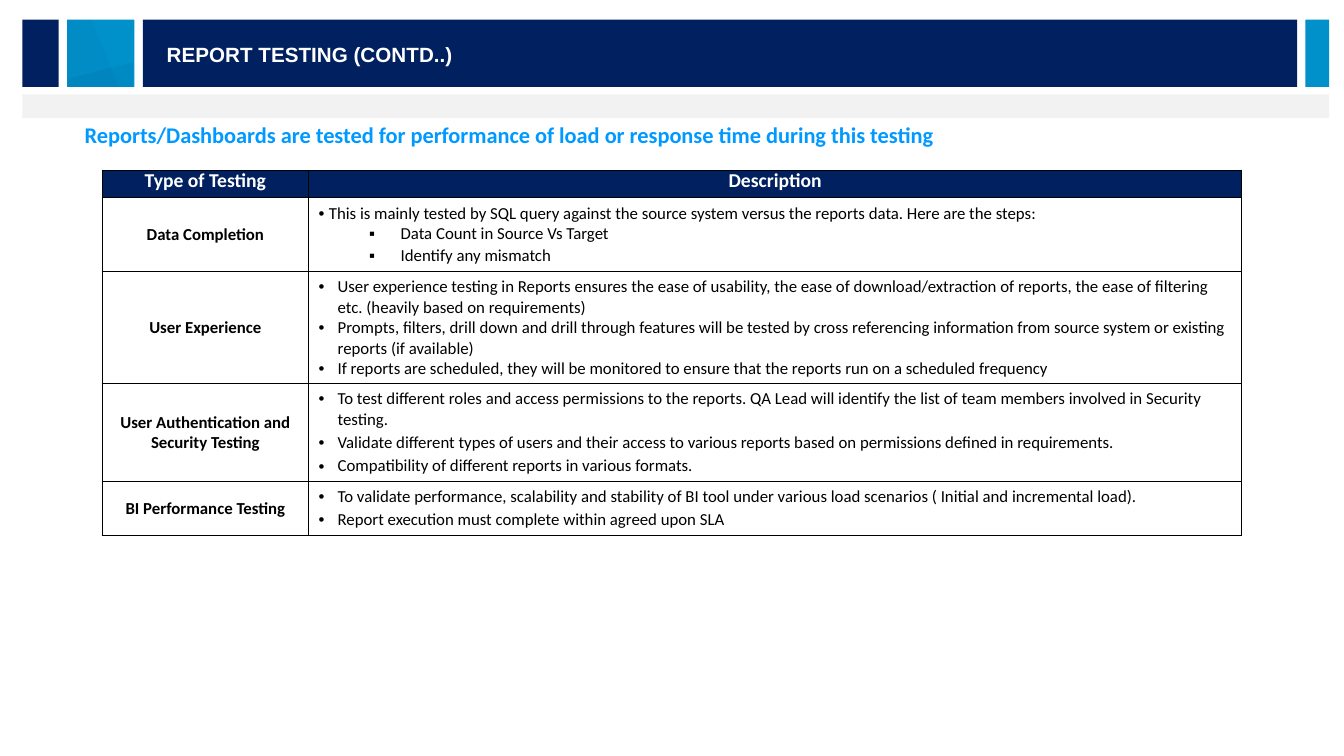
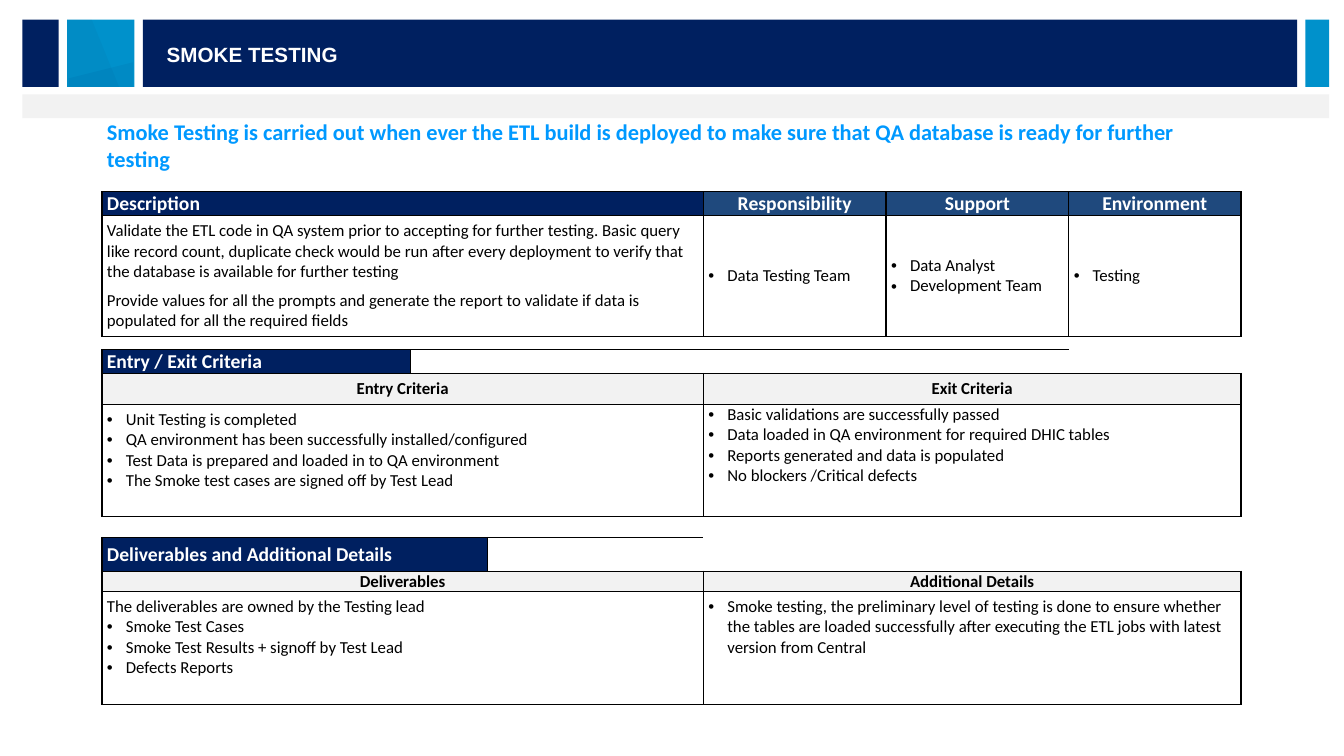
from dataclasses import dataclass
from typing import Optional

from lxml.etree import SubElement
from pptx import Presentation
from pptx.dml.color import RGBColor
from pptx.enum.shapes import MSO_SHAPE as Shape
from pptx.enum.text import MSO_ANCHOR as Anchor, PP_ALIGN as Align
from pptx.oxml import parse_xml
from pptx.oxml.ns import nsdecls, qn
from pptx.util import Pt


# Colours, fonts and type sizes
@dataclass(frozen=True)
class Theme:
    navy: str = "002060"
    steel: str = "1F497D"
    shade: str = "17375E"
    cyan: str = "0091CB"
    sky: str = "0099FF"
    grey: str = "F2F2F2"
    white: str = "FFFFFF"
    black: str = "000000"
    title_font: str = "Arial"
    body_font: str = "Calibri"
    title: float = 14.7
    lead: float = 16
    heading: float = 14
    body: float = 12
    spacer: int = 6


T = Theme()
NO_STYLE = "{2D5ABB26-0587-4C30-8999-92F81FD0307C}"


# Repeated elements
@dataclass(frozen=True)
class Band:
    left: float
    top: float
    width: float
    height: float
    color: str


@dataclass(frozen=True)
class Facet:
    points: tuple[tuple[float, float], ...]
    color: str
    alpha: int


@dataclass(frozen=True)
class Para:
    text: str
    bullet: str = ""
    left: float = 0
    indent: float = 0
    after: float = 0
    level: int = 0


@dataclass(frozen=True)
class Cell:
    row: int
    col: int
    paras: tuple[Para, ...] = ()
    span: int = 1
    fill: str = T.white
    color: str = T.black
    size: float = T.body
    bold: bool = False
    align: Align = Align.LEFT
    anchor: Anchor = Anchor.MIDDLE
    margins: tuple[float, float] = (3.6, 3.6)
    line: Optional[float] = None
    ruled: bool = True


BANDS = (
    Band(102, 14, 824.5, 48, T.navy),
    Band(48, 14, 48, 48, T.cyan),
    Band(16, 14, 26, 48, T.navy),
    Band(932.5, 14, 17, 48, T.cyan),
    Band(16, 67.5, 933.5, 17, T.grey),
)
FACETS = (
    Facet(((48, 14), (65.5, 14), (85, 62), (48, 62)), T.shade, 5),
    Facet(((95, 44.5), (49, 56), (49, 62), (95, 62)), T.navy, 6),
)


def rgb(color: str) -> RGBColor:
    return RGBColor.from_string(color)


def add_text(p, text: str, *, size: float, color: str, font: str = T.body_font,
             bold: bool = False, align: Align = Align.LEFT, bullet: str = "",
             left: float = 0, indent: float = 0, after: float = 0,
             level: int = 0, line: Optional[float] = None) -> None:
    """Write one formatted paragraph."""
    pPr = p._p.get_or_add_pPr()
    pPr.set("marL", str(Pt(left)))
    pPr.set("indent", str(Pt(indent)))
    if bullet:
        SubElement(pPr, qn("a:buFont")).set("typeface", "Arial")
        SubElement(pPr, qn("a:buChar")).set("char", bullet)
    p.level, p.alignment, p.space_after = level, align, Pt(after)
    if line:
        p.line_spacing = Pt(line)
    r = p.add_run()
    r.text = text
    r.font.name, r.font.size, r.font.bold = font, Pt(size), bold
    r.font.color.rgb = rgb(color)


def set_margins(holder, x: float, y: float) -> None:
    holder.margin_left = holder.margin_right = Pt(x)
    holder.margin_top = holder.margin_bottom = Pt(y)


def add_box(s, text: str, left: float, top: float, width: float, height: float,
            *, anchor: Anchor = Anchor.TOP, margins: tuple[float, float] = (7.2, 3.6),
            **fmt) -> None:
    tf = s.shapes.add_textbox(Pt(left), Pt(top), Pt(width), Pt(height)).text_frame
    tf.word_wrap, tf.vertical_anchor = True, anchor
    set_margins(tf, *margins)
    add_text(tf.paragraphs[0], text, bold=True, **fmt)


def paint(sp, color: str) -> None:
    sp.shadow.inherit = False
    sp.fill.solid()
    sp.fill.fore_color.rgb = rgb(color)
    sp.line.fill.background()


def add_slide(prs, title: str):
    """Add a slide with the shared header bands and title."""
    s = prs.slides.add_slide(prs.slide_layouts[6])
    for b in BANDS:
        paint(s.shapes.add_shape(Shape.RECTANGLE, Pt(b.left), Pt(b.top),
                                 Pt(b.width), Pt(b.height)), b.color)
    for facet in FACETS:
        start, *rest = [(Pt(x), Pt(y)) for x, y in facet.points]
        builder = s.shapes.build_freeform(*start)
        builder.add_line_segments(rest, close=True)
        sp = builder.convert_to_shape()
        paint(sp, facet.color)
        clr = sp._element.spPr.find(qn("a:solidFill"))[0]
        SubElement(clr, qn("a:alpha")).set("val", str(facet.alpha * 1000))
    add_box(s, title, 112, 27, 592, 24, anchor=Anchor.MIDDLE,
            size=T.title, color=T.white, font=T.title_font)
    return s


def add_borders(cell) -> None:
    tcPr = cell._tc.get_or_add_tcPr()
    for i, side in enumerate("LRTB"):
        tcPr.insert(i, parse_xml(
            f'<a:ln{side} {nsdecls("a")} w="{Pt(1)}"><a:solidFill>'
            f'<a:srgbClr val="{T.black}"/></a:solidFill></a:ln{side}>'))


def fill_cell(tbl, c: Cell) -> None:
    cell = tbl.cell(c.row, c.col)
    if c.span > 1:
        cell.merge(tbl.cell(c.row, c.col + c.span - 1))
    cell.fill.solid()
    cell.fill.fore_color.rgb = rgb(c.fill)
    cell.vertical_anchor = c.anchor
    set_margins(cell, *c.margins)
    if c.ruled:
        for col in range(c.col, c.col + c.span):
            add_borders(tbl.cell(c.row, col))
    tf = cell.text_frame
    for i, para in enumerate(c.paras):
        p = tf.add_paragraph() if i else tf.paragraphs[0]
        add_text(p, para.text, size=c.size, color=c.color, bold=c.bold,
                 align=c.align, line=c.line, bullet=para.bullet, left=para.left,
                 indent=para.indent, after=para.after, level=para.level)


def add_grid(s, left: float, top: float, cols: tuple[float, ...],
             rows: tuple[float, ...], cells: list[Cell]) -> None:
    tbl = s.shapes.add_table(len(rows), len(cols), Pt(left), Pt(top),
                             Pt(sum(cols)), Pt(sum(rows))).table
    tbl.horz_banding = False
    tbl._tbl.tblPr.find(qn("a:tableStyleId")).text = NO_STYLE
    for column, width in zip(tbl.columns, cols):
        column.width = Pt(width)
    for row, height in zip(tbl.rows, rows):
        row.height = Pt(height)
    for cell in tbl.iter_cells():
        set_margins(cell, 0, 0)
        end = cell.text_frame.paragraphs[0]._p.get_or_add_endParaRPr()
        end.set("sz", str(T.spacer * 100))
    for c in cells:
        fill_cell(tbl, c)


# Kinds of cell content
def plain(*texts: str, after: float = 0) -> tuple[Para, ...]:
    return tuple(Para(t, after=after) for t in texts)


def bullets(*texts: str, after: float = 0) -> tuple[Para, ...]:
    return tuple(Para(t, "•", 13.5, -13.5, after) for t in texts)


def heading(row: int, col: int, text: str, **fmt) -> Cell:
    look = dict(fill=T.navy, margins=(3.6, 0)) | fmt
    return Cell(row, col, plain(text), color=T.white, size=T.heading, bold=True, **look)


def subheading(row: int, col: int, text: str, margins: tuple[float, float]) -> Cell:
    return Cell(row, col, plain(text), span=3, fill=T.grey, bold=True,
                align=Align.CENTER, margins=margins)


def body(row: int, col: int, paras: tuple[Para, ...], **fmt) -> Cell:
    return Cell(row, col, paras, span=3, anchor=Anchor.TOP, **fmt)


def report_testing(prs) -> None:
    s = add_slide(prs, "REPORT TESTING (CONTD..)")
    add_box(s, "Reports/Dashboards are tested for performance of load or response time "
            "during this testing", 60.5, 86.5, 839.5, 35, margins=(0, 0),
            size=T.lead, color=T.sky, after=9)
    steps = tuple(Para(t, "▪", 58.5, -22.5, 1, 1)
                  for t in ("Data Count in Source Vs Target", "Identify any mismatch"))
    topics = (
        ("Data Completion", (Para(
            "This is mainly tested by SQL query against the source system versus the "
            "reports data. Here are the steps:", "•", 7.2, -13.5), *steps)),
        ("User Experience", bullets(
            "User experience testing in Reports ensures the ease of usability, the ease of "
            "download/extraction of reports, the ease of filtering etc. (heavily based on "
            "requirements)",
            "Prompts, filters, drill down and drill through features will be tested by cross "
            "referencing information from source system or existing reports (if available)",
            "If reports are scheduled, they will be monitored to ensure that the reports run "
            "on a scheduled frequency")),
        ("User Authentication and Security Testing", bullets(
            "To test different roles and access permissions to the reports. QA Lead will "
            "identify the list of team members involved in Security testing.",
            "Validate different types of users and their access to various reports based on "
            "permissions defined in requirements.",
            "Compatibility of different reports in various formats.", after=2)),
        ("BI Performance Testing", bullets(
            "To validate performance, scalability and stability of BI tool under various load "
            "scenarios ( Initial and incremental load).",
            "Report execution must complete within agreed upon SLA", after=2)),
    )
    cells = [heading(0, i, t, align=Align.CENTER, margins=(6.5, 3.6), line=12)
             for i, t in enumerate(("Type of Testing", "Description"))]
    for row, (name, paras) in enumerate(topics, 1):
        cells.append(Cell(row, 0, plain(name), bold=True, align=Align.CENTER,
                          margins=(7.2, 3.6)))
        cells.append(Cell(row, 1, paras, margins=(7.2, 3.6)))
    add_grid(s, 73, 121.8, (147.5, 666.5), (19.2, 53, 80.2, 69.8, 38.5), cells)


def smoke_testing(prs) -> None:
    s = add_slide(prs, "SMOKE TESTING")
    add_box(s, "Smoke Testing is carried out when ever the ETL build is deployed to make "
            "sure that QA database is ready for further testing", 69.3, 80.8, 821, 52.5,
            size=T.lead, color=T.sky)
    gaps = ((2, 0, 5), (3, 1, 5), (6, 0, 3), (6, 3, 3), (7, 2, 4))
    cells = [Cell(row, col, span=span, margins=(0, 0), ruled=False) for row, col, span in gaps]
    cells += [
        # Description
        heading(0, 0, "Description", span=3),
        body(1, 0, plain(
            "Validate the ETL code in QA system prior to accepting for further testing. Basic "
            "query like record count, duplicate check would be run after every deployment to "
            "verify that the database is available for further testing",
            "Provide values for all the prompts and generate the report to validate if data "
            "is populated for all the required fields", after=6)),
        # Entry and exit criteria
        heading(3, 0, "Entry / Exit Criteria"),
        subheading(4, 0, "Entry Criteria", (3.6, 3.6)),
        subheading(4, 3, "Exit Criteria", (3.6, 3.6)),
        body(5, 0, bullets(
            "Unit Testing is completed",
            "QA environment has been successfully installed/configured",
            "Test Data is prepared and loaded in to QA environment",
            "The Smoke test cases are signed off by Test Lead")),
        body(5, 3, bullets(
            "Basic validations are successfully passed",
            "Data loaded in QA environment for required DHIC tables",
            "Reports generated and data is populated",
            "No blockers /Critical defects"), margins=(3.6, 0)),
        # Deliverables and details
        heading(7, 0, "Deliverables and Additional Details", span=2, margins=(3.6, 3.6)),
        subheading(8, 0, "Deliverables", (0, 0)),
        subheading(8, 3, "Additional Details", (0, 0)),
        body(9, 0, plain("The deliverables are owned by the Testing lead") + bullets(
            "Smoke Test Cases", "Smoke Test Results + signoff by Test Lead", "Defects Reports")),
        body(9, 3, bullets(
            "Smoke testing, the preliminary level of testing is done to ensure whether the tables "
            "are loaded successfully after executing the ETL jobs with latest version from Central")),
    ]
    roles = (("Responsibility", ("Data Testing Team",)),
             ("Support", ("Data Analyst", "Development Team")), ("Environment", ("Testing",)))
    for col, (role, names) in enumerate(roles, 3):
        cells.append(heading(0, col, role, fill=T.steel, align=Align.CENTER))
        cells.append(Cell(1, col, bullets(*names), margins=(3.6, 0)))
    add_grid(s, 72.8, 137, (220.5, 55, 154.2, 130.5, 130.5, 123),
             (17, 86.3, 9.5, 17, 22, 80, 15.2, 24, 14.5, 80.8), cells)


def main() -> None:
    prs = Presentation()
    prs.slide_width, prs.slide_height = Pt(960), Pt(540)
    report_testing(prs)
    smoke_testing(prs)
    prs.save("out.pptx")


if __name__ == "__main__":
    main()
